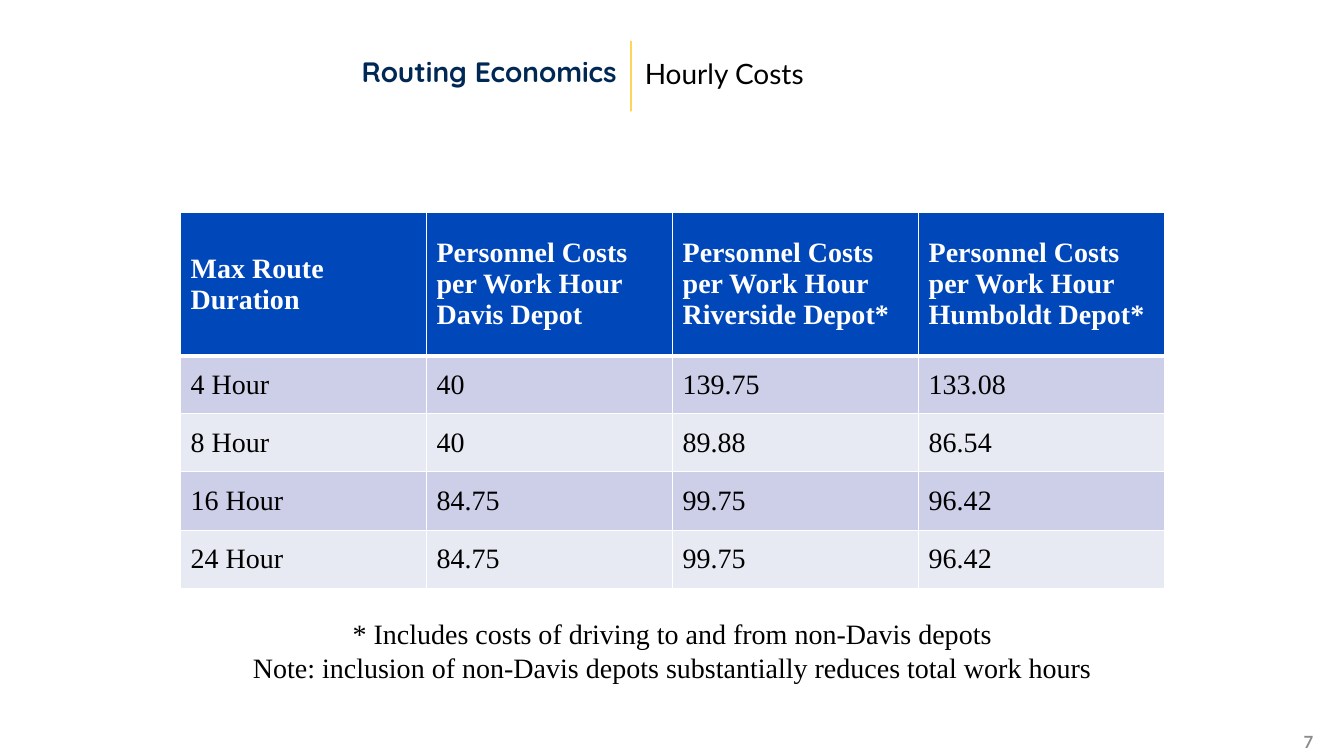
from lxml.etree import SubElement
from pptx import Presentation
from pptx.dml.color import RGBColor
from pptx.enum.shapes import MSO_SHAPE as Shape
from pptx.enum.text import MSO_ANCHOR as Anchor, MSO_AUTO_SIZE as AutoSize, PP_ALIGN as Align
from pptx.oxml.ns import qn
from pptx.util import Cm, Pt

COLORS = {
    "navy": "002855", "gold": "FFBF00", "blue": "0047BA", "gray": "8C8C8C",
    "black": "000000", "white": "FFFFFF", "band": "CCCFE7", "pale": "E7E9F3",
}
SERIF = "Times New Roman"
HEADERS = ["Max Route Duration"] + [
    f"Personnel Costs per Work Hour {depot}"
    for depot in ("Davis Depot", "Riverside Depot*", "Humboldt Depot*")
]
COSTS = [
    ["4 Hour", "40", "139.75", "133.08"],
    ["8 Hour", "40", "89.88", "86.54"],
    ["16 Hour", "84.75", "99.75", "96.42"],
    ["24 Hour", "84.75", "99.75", "96.42"],
]
ROW_HEIGHTS = [3.61, 1.45, 1.47, 1.47, 1.47]


def color(name):
    return RGBColor.from_string(COLORS[name])


def write(frame, text, font=SERIF, size=20, ink="black", bold=False, align=Align.LEFT, spacing=1.0):
    frame.word_wrap = True
    for index, line in enumerate(text.split("\n")):
        para = frame.add_paragraph() if index else frame.paragraphs[0]
        para.alignment = align
        para.line_spacing = spacing
        span = para.add_run()
        span.text = line
        span.font.name = font
        span.font.size = Pt(size)
        span.font.bold = bold
        span.font.color.rgb = color(ink)


class SlideBuilder:
    def __init__(self, deck):
        self.page = deck.slides.add_slide(deck.slide_layouts[5])

    def title(self, text, left, top, width, height, inset, **style):
        box = self.page.shapes.title
        box.left, box.top, box.width, box.height = Cm(left), Cm(top), Cm(width), Cm(height)
        frame = box.text_frame
        frame.auto_size = AutoSize.NONE
        frame.vertical_anchor = Anchor.MIDDLE
        frame.margin_left = Cm(inset)
        write(frame, text, **style)

    def text(self, text, left, top, width, height, anchor=Anchor.MIDDLE, **style):
        box = self.page.shapes.add_textbox(Cm(left), Cm(top), Cm(width), Cm(height))
        box.text_frame.vertical_anchor = anchor
        write(box.text_frame, text, **style)

    def bar(self, left, top, width, height, fill):
        bar = self.page.shapes.add_shape(Shape.RECTANGLE, Cm(left), Cm(top), Cm(width), Cm(height))
        bar.shadow.inherit = False
        bar.fill.solid()
        bar.fill.fore_color.rgb = color(fill)
        bar.line.fill.background()

    def cell(self, cell, text, fill, top_line, bottom_line, **style):
        properties = cell._tc.get_or_add_tcPr()
        for side, points in (("L", 1), ("R", 1), ("T", top_line), ("B", bottom_line)):
            border = SubElement(properties, qn(f"a:ln{side}"), w=str(Pt(points)))
            SubElement(SubElement(border, qn("a:solidFill")), qn("a:srgbClr"), val=COLORS["white"])
        cell.fill.solid()
        cell.fill.fore_color.rgb = color(fill)
        cell.vertical_anchor = Anchor.MIDDLE
        write(cell.text_frame, text, **style)

    def table(self, rows, left, top, column_width, row_heights):
        columns = len(rows[0])
        table = self.page.shapes.add_table(
            len(rows), columns, Cm(left), Cm(top), Cm(column_width * columns), Cm(sum(row_heights))
        ).table
        for column in table.columns:
            column.width = Cm(column_width)
        for index, (values, height) in enumerate(zip(rows, row_heights)):
            table.rows[index].height = Cm(height)
            header = index == 0
            fill = "blue" if header else ("pale", "band")[index % 2]
            for position, value in enumerate(values):
                self.cell(
                    table.cell(index, position), value, fill,
                    top_line=3 if index == 1 else 1, bottom_line=3 if header else 1,
                    ink="white" if header else "black", bold=header,
                )


def main():
    deck = Presentation()
    deck.slide_width, deck.slide_height = Cm(33.87), Cm(19.05)
    slide = SlideBuilder(deck)
    slide.bar(15.89, 1.03, 0.03, 1.78, "gold")
    slide.title("Routing Economics", 0.69, 0.89, 15.11, 1.91, inset=1.52,
                font="Quicksand", ink="navy", bold=True, align=Align.RIGHT, spacing=0.9)
    slide.text("Hourly Costs", 16, 0.89, 17.07, 1.91, font="Lato")
    slide.text("7", 25.73, 18.34, 7.62, 0.71,
               font="Lato", size=12, ink="gray", bold=True, align=Align.RIGHT)
    slide.table([HEADERS] + COSTS, 4.55, 5.36, 6.2, ROW_HEIGHTS)
    slide.text("* Includes costs of driving to and from non-Davis depots\n"
               "Note: inclusion of non-Davis depots substantially reduces total work hours",
               6.05, 15.42, 21.79, 1.96, anchor=Anchor.TOP, align=Align.CENTER)
    deck.save("out.pptx")


if __name__ == "__main__":
    main()
